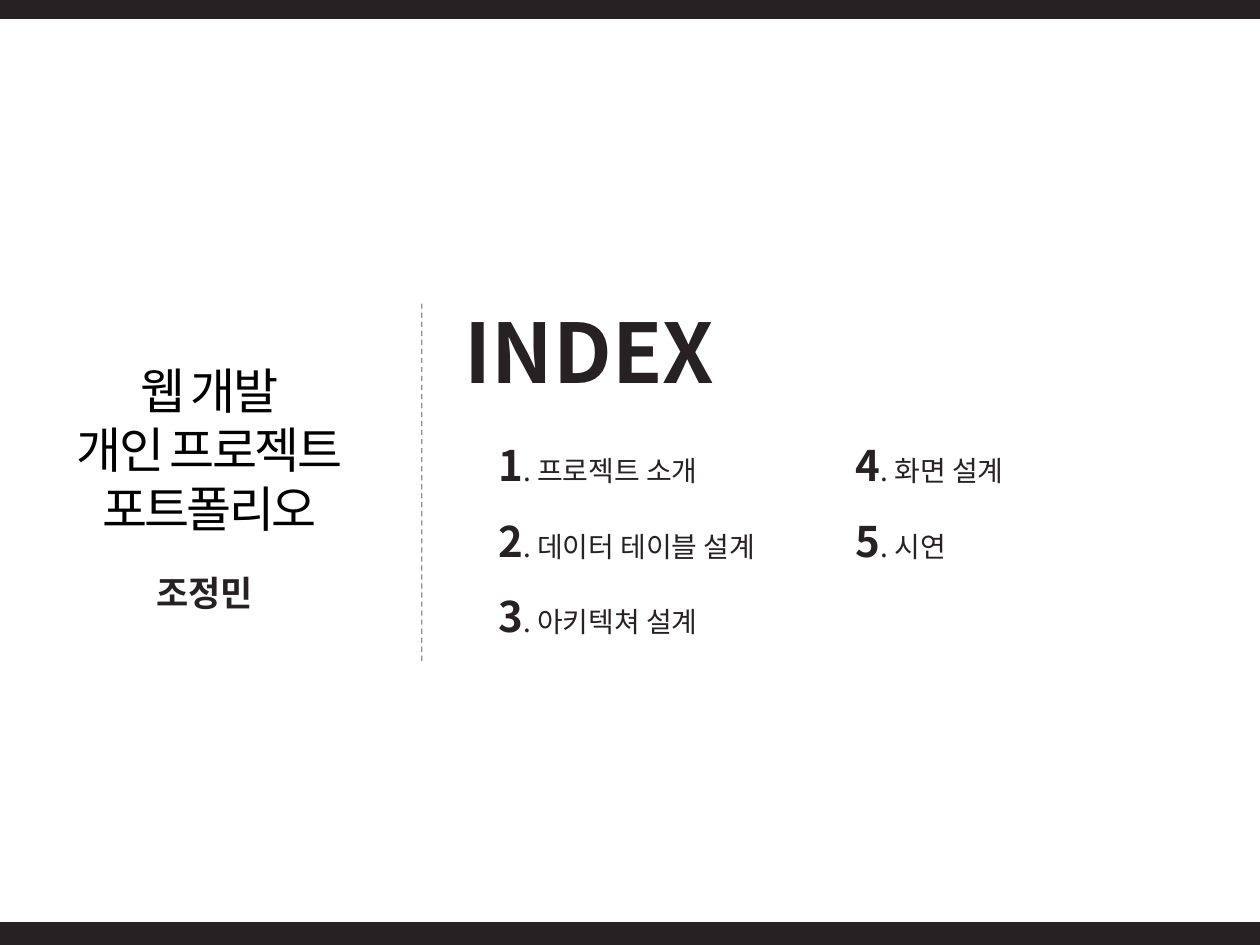
from lxml.etree import SubElement
from pptx import Presentation
from pptx.dml.color import RGBColor
from pptx.enum.dml import MSO_LINE
from pptx.enum.shapes import MSO_CONNECTOR, MSO_SHAPE
from pptx.enum.text import MSO_AUTO_SIZE, PP_ALIGN
from pptx.oxml import parse_xml
from pptx.oxml.ns import nsdecls, qn
from pptx.util import Cm, Pt

INK = RGBColor(0x27, 0x21, 0x23)
BLACK = RGBColor(0, 0, 0)
FONT = "Noto Sans CJK KR"
OUTLINE = (
    f'<a:ln {nsdecls("a")} w="9525"><a:solidFill><a:srgbClr val="000000">'
    '<a:alpha val="30000"/></a:srgbClr></a:solidFill></a:ln>'
)


def add_text(para, text, size, color=INK, bold=False, track=0):
    """Add one run; track is the letter spacing in points."""
    run = para.add_run()
    run.text = text
    font = run.font
    font.size, font.bold, font.name = Pt(size), bold, FONT
    font.color.rgb = color
    props = run.font._element
    if track:
        props.set("spc", str(int(track * 100)))
    props.insert(0, parse_xml(OUTLINE))
    props.find(qn("a:latin")).addnext(
        parse_xml(f'<a:ea {nsdecls("a")} typeface="{FONT}"/>'))


class Page:
    def __init__(self, slide, ink=INK):
        self.shapes = slide.shapes
        self.ink = ink

    def bar(self, top):
        bar = self.shapes.add_shape(
            MSO_SHAPE.RECTANGLE, Cm(-1.22), Cm(top), Cm(27.81), Cm(0.46))
        bar.shadow.inherit = False
        bar.fill.solid()
        bar.fill.fore_color.rgb = self.ink
        bar.line.fill.background()

    def rule(self, left, top, end):
        """Draw a half-clear dashed upright line."""
        rule = self.shapes.add_connector(
            MSO_CONNECTOR.STRAIGHT, Cm(left), Cm(top), Cm(left), Cm(end))
        rule.line.width = Pt(0.75)
        rule.line.color.rgb = self.ink
        rule.line.dash_style = MSO_LINE.DASH
        props = rule._element.spPr
        color = next(props.iter(qn("a:srgbClr")))
        SubElement(color, qn("a:alpha")).set("val", "50000")
        SubElement(props, qn("a:effectLst"))

    def text(self, left, top, width, height, lines, align=PP_ALIGN.LEFT,
             space=None):
        """Add a box; each line is a list of (text, format) pairs."""
        box = self.shapes.add_textbox(
            Cm(left), Cm(top), Cm(width), Cm(height))
        frame = box.text_frame
        frame.word_wrap = True
        frame.auto_size = MSO_AUTO_SIZE.SHAPE_TO_FIT_TEXT
        for i, line in enumerate(lines):
            para = frame.add_paragraph() if i else frame.paragraphs[0]
            para.alignment = align
            para.line_spacing = space
            for text, style in line:
                add_text(para, text, **style)

    def items(self, left, width, height, first, names):
        """List names, with large numbers that count from first."""
        lines = [[(str(n), dict(size=24, bold=True)),
                  (f". {name}", dict(size=16))]
                 for n, name in enumerate(names, first)]
        self.text(left, 8.23, width, height, lines, space=1.5)


def main():
    deck = Presentation()
    deck.slide_width, deck.slide_height = Cm(25.4), Cm(19.05)
    page = Page(deck.slides.add_slide(deck.slide_layouts[6]))

    page.text(9.12, 5.94, 9.27, 2.26,
              [[("INDEX", dict(size=47, bold=True))]])
    page.rule(8.5, 6.12, 13.38)
    page.items(9.8, 6.63, 4.62, 1,
               ["프로젝트 소개", "데이터 테이블 설계", "아키텍쳐 설계"])
    for top in (18.59, -0.08):
        page.bar(top)
    title = dict(size=28, color=BLACK, track=-1.5)
    page.text(0.5, 7.14, 7.44, 3.84,
              [[(line, title)]
               for line in ("웹 개발", "개인 프로젝트", "포트폴리오")],
              align=PP_ALIGN.CENTER)
    page.text(0, 10.97, 8.25, 1.42,
              [[("조정민", dict(size=20, bold=True))]],
              align=PP_ALIGN.CENTER, space=1.5)
    page.items(17, 5.41, 3.1, 4, ["화면 설계", "시연"])

    deck.save("out.pptx")


if __name__ == "__main__":
    main()
